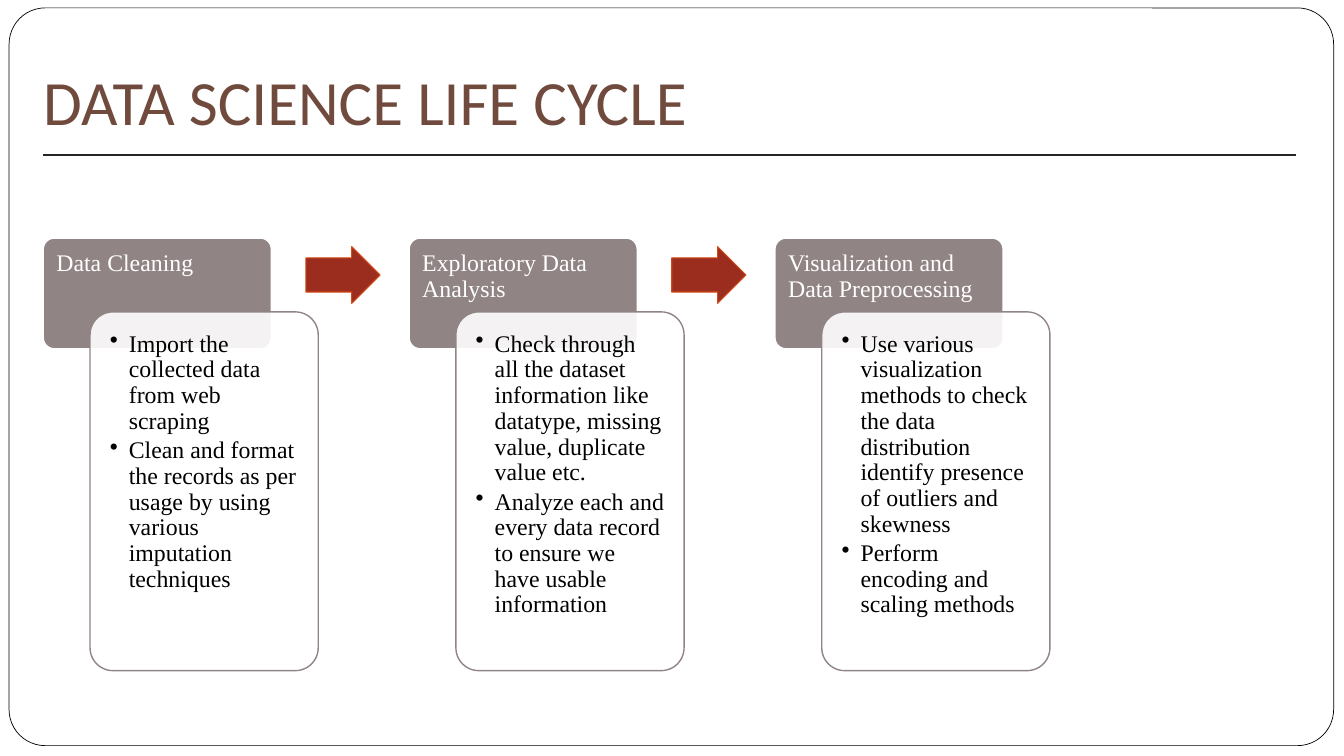
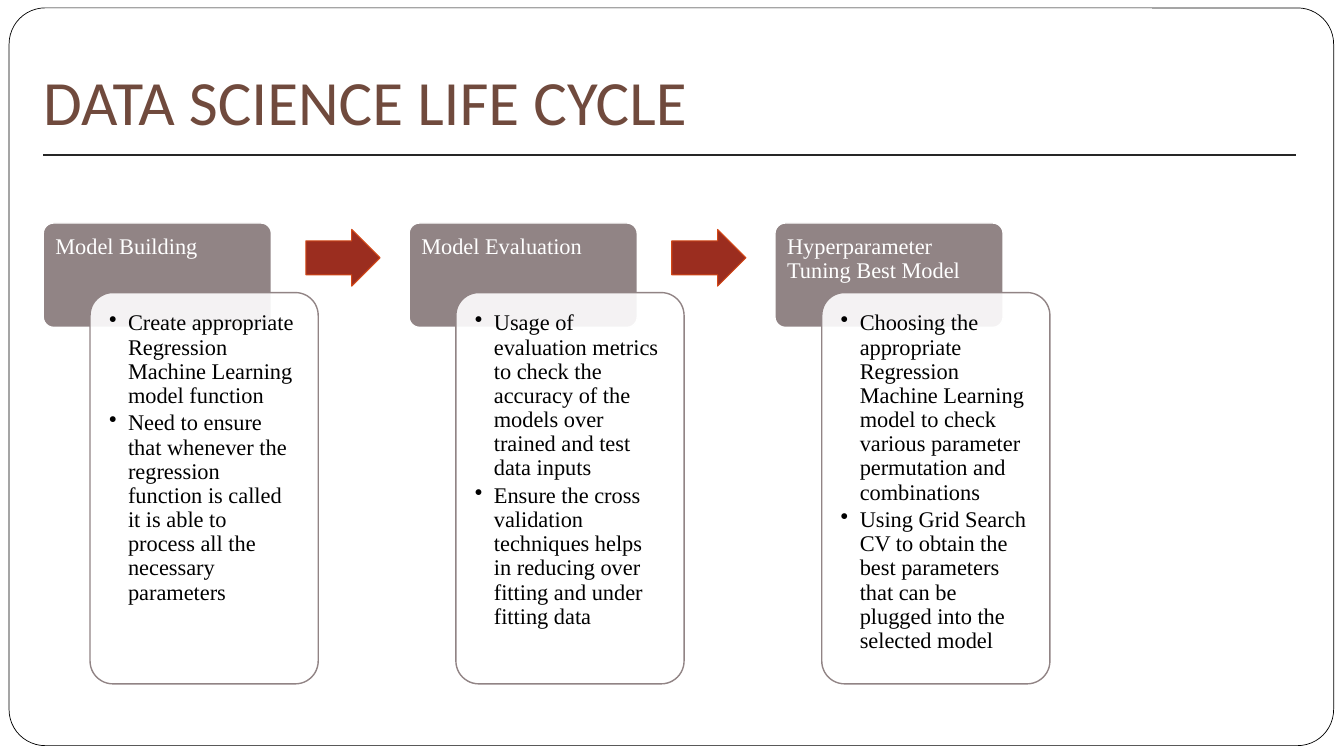
from lxml import etree
from pptx import Presentation
from pptx import util as u
from pptx.dml import color
from pptx.enum import shapes, text
from pptx.oxml import ns

HUES = {
    "page": "FFFFFF", "frame": "000000", "rule": "262626", "title": "704A3D",
    "head": "918485", "arrow": "9B2D1F", "edge": "D34817", "ink": "000000",
}
SANS, SERIF = "Calibri", "Times New Roman"
LEFT, STEP, WIDE = 1.09, 9.22, 5.75
SHIFT = 1.18
ROUND = shapes.MSO_SHAPE.ROUNDED_RECTANGLE
ARROW = shapes.MSO_SHAPE.RIGHT_ARROW

SLIDES = [
    {
        "top": 6.0, "head": 2.79, "card": 9.04, "size": 17, "pad": 0.33,
        "steps": [
            ("Data Cleaning", [
                "Import the collected data from web scraping",
                "Clean and format the records as per usage by using various "
                "imputation techniques"]),
            ("Exploratory Data Analysis", [
                "Check through all the dataset information like datatype, "
                "missing value, duplicate value etc.",
                "Analyze each and every data record to ensure we have usable "
                "information"]),
            ("Visualization and Data Preprocessing", [
                "Use various visualization methods to check the data "
                "distribution identify presence of outliers and skewness",
                "Perform encoding and scaling methods"]),
        ],
    },
    {
        "top": 5.62, "head": 2.63, "card": 9.86, "size": 16, "pad": 0.31,
        "steps": [
            ("Model Building", [
                "Create appropriate Regression Machine Learning model function",
                "Need to ensure that whenever the regression function is "
                "called it is able to process all the necessary parameters"]),
            ("Model Evaluation", [
                "Usage of evaluation metrics to check the accuracy of the "
                "models over trained and test data inputs",
                "Ensure the cross validation techniques helps in reducing "
                "over fitting and under fitting data"]),
            ("Hyperparameter Tuning Best Model", [
                "Choosing the appropriate Regression Machine Learning model "
                "to check various parameter permutation and combinations",
                "Using Grid Search CV to obtain the best parameters that can "
                "be plugged into the selected model"]),
        ],
    },
]


def rgb(name):
    return color.RGBColor.from_string(HUES[name])


def add_box(slide, kind, box, fill, line, width, adjust):
    shape = slide.shapes.add_shape(kind, *map(u.Cm, box))
    shape.shadow.inherit = False
    shape.fill.solid()
    shape.fill.fore_color.rgb = rgb(fill)
    shape.line.color.rgb = rgb(line)
    shape.line.width = u.Pt(width)
    for spot, value in enumerate(adjust):
        shape.adjustments[spot] = value
    return shape


def set_text(shape, lines, font, size, hue, pads, anchor):
    frame = shape.text_frame
    frame.word_wrap = True
    frame.vertical_anchor = anchor
    (frame.margin_left, frame.margin_top,
     frame.margin_right, frame.margin_bottom) = map(u.Cm, pads)
    frame.text = "\n".join(lines)
    for para in frame.paragraphs:
        para.alignment = text.PP_ALIGN.LEFT
        para.font.name = font
        para.font.size = u.Pt(size)
        para.font.color.rgb = rgb(hue)
    return frame.paragraphs


def add_mark(para):
    props = para._p.get_or_add_pPr()
    props.set("marL", str(u.Cm(0.48)))
    props.set("indent", str(u.Cm(-0.48)))
    etree.SubElement(props, ns.qn("a:buChar")).set("char", "•")


def fade(shape, share):
    hue = shape.fill._xPr.find(".//" + ns.qn("a:srgbClr"))
    etree.SubElement(hue, ns.qn("a:alpha")).set("val", str(share * 1000))


def add_base(slide, title):
    add_box(slide, ROUND, (0.23, 0.2, 33.38, 18.59), "page", "frame", 0.5, [0.049])
    rule = slide.shapes.add_connector(
        shapes.MSO_CONNECTOR.STRAIGHT, *map(u.Cm, (LEFT, 3.91, 32.66, 3.91)))
    rule.line.color.rgb = rgb("rule")
    rule.line.width = u.Pt(1)
    etree.SubElement(rule._element.spPr, ns.qn("a:effectLst"))
    box = slide.shapes.add_textbox(*map(u.Cm, (LEFT, 0.94, 31.57, 2.79)))
    set_text(box, [title], SANS, 45, "title", (0, 0.13, 0, 0.25),
             text.MSO_ANCHOR.BOTTOM)


def add_head(slide, left, plan, label):
    box = (left, plan["top"], WIDE, plan["head"])
    head = add_box(slide, ROUND, box, "head", "page", 1, [0.1])
    pad = plan["pad"] - 0.08
    para, = set_text(head, [label], SERIF, plan["size"], "page", [pad] * 4,
                     text.MSO_ANCHOR.TOP)
    para.line_spacing = 0.9


def add_card(slide, left, top, plan, points):
    box = (left, top, WIDE, plan["card"])
    card = add_box(slide, ROUND, box, "page", "head", 1, [0.1])
    fade(card, 90)
    for para in set_text(card, points, SERIF, plan["size"], "ink",
                         [plan["pad"]] * 4, text.MSO_ANCHOR.TOP):
        para.line_spacing = 0.9
        para.space_after = u.Pt(plan["size"] * 0.15)
        add_mark(para)


def add_arrow(slide, left, mid):
    tall = 1.43
    box = (left + 6.62, mid - tall / 2, 1.87, tall)
    add_box(slide, ARROW, box, "arrow", "edge", 0.75, [0.6, 0.5])


def add_flow(slide, plan):
    drop = plan["head"] * 2 / 3
    last = len(plan["steps"]) - 1
    for spot, (label, points) in enumerate(plan["steps"]):
        left = LEFT + spot * STEP
        add_head(slide, left, plan, label)
        add_card(slide, left + SHIFT, plan["top"] + drop, plan, points)
        if spot < last:
            add_arrow(slide, left, plan["top"] + drop / 2)


def main():
    deck = Presentation()
    deck.slide_width, deck.slide_height = u.Cm(33.87), u.Cm(19.05)
    for plan in SLIDES:
        slide = deck.slides.add_slide(deck.slide_layouts[6])
        add_base(slide, "DATA SCIENCE LIFE CYCLE")
        add_flow(slide, plan)
    deck.save("out.pptx")


if __name__ == "__main__":
    main()
